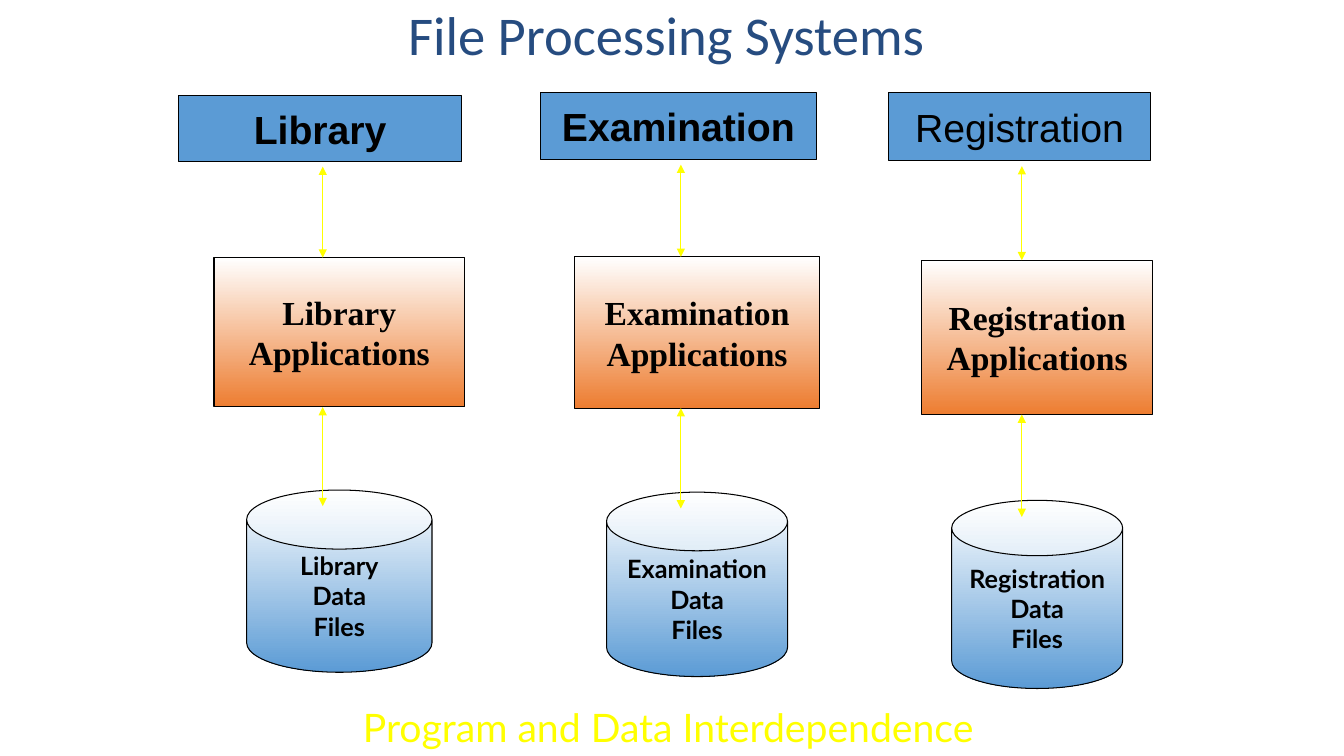
from dataclasses import dataclass

from lxml.etree import SubElement
from pptx import Presentation
from pptx.dml.color import RGBColor
from pptx.enum.shapes import MSO_CONNECTOR, MSO_SHAPE
from pptx.enum.text import MSO_ANCHOR, MSO_AUTO_SIZE, PP_ALIGN
from pptx.oxml.ns import qn
from pptx.util import Cm, Pt


@dataclass(frozen=True)
class Theme:
    ink: str = "000000"
    title: str = "264C80"
    accent: str = "FFFF00"
    light: str = "FFFFFF"
    blue: str = "5B9BD5"
    orange: str = "ED7D31"
    title_font: str = "Calibri"
    system_font: str = "Arial"
    program_font: str = "Times New Roman"
    data_font: str = "Lato"
    title_size: int = 39
    heading_size: int = 28
    program_size: int = 24
    data_size: int = 18
    line_width: float = 0.75


@dataclass(frozen=True)
class Box:
    left: float
    top: float
    width: float
    height: float

    def x(self, percent):
        return self.left + self.width * percent / 100

    def y(self, percent):
        return self.top + self.height * percent / 100

    def inner(self, left, top, width, height):
        return Box(self.x(left), self.y(top),
                   self.width * width / 100, self.height * height / 100)

    def lengths(self):
        return Cm(self.left), Cm(self.top), Cm(self.width), Cm(self.height)


THEME = Theme()
TITLE_BOX = Box(5.36, 0, 22.86, 1.9)
CAPTION_BOX = Box(8.74, 17.6, 16.2, 1.45)
SYSTEMS = [
    ("Registration", False, Box(22.4, 2.34, 6.65, 15.01)),
    ("Examination", True, Box(13.61, 2.34, 7.04, 14.71)),
    ("Library", True, Box(4.5, 2.41, 7.21, 14.53)),
]


def write(frame, *lines, font, size, color=THEME.ink, bold=False, wrap=False,
          anchor=MSO_ANCHOR.MIDDLE, autosize=MSO_AUTO_SIZE.NONE, spacing=None):
    frame.word_wrap = wrap
    frame.vertical_anchor = anchor
    frame.auto_size = autosize
    for index, line in enumerate(lines):
        paragraph = frame.add_paragraph() if index else frame.paragraphs[0]
        paragraph.alignment = PP_ALIGN.CENTER
        if spacing:
            paragraph.line_spacing = spacing
        run = paragraph.add_run()
        run.text = line
        run.font.name = font
        run.font.size = Pt(size)
        run.font.bold = bold
        run.font.color.rgb = RGBColor.from_string(color)


def add_node(shapes, preset, box, color, shaded=True):
    node = shapes.add_shape(preset, *box.lengths())
    node.shadow.inherit = False
    if shaded:
        node.fill.gradient()
        node.fill.gradient_angle = 270
        for stop, position, shade in zip(node.fill.gradient_stops, (0, 1), (THEME.light, color)):
            stop.position = position
            stop.color.rgb = RGBColor.from_string(shade)
    else:
        node.fill.solid()
        node.fill.fore_color.rgb = RGBColor.from_string(color)
    node.line.color.rgb = RGBColor.from_string(THEME.ink)
    node.line.width = Pt(THEME.line_width)
    return node


def add_double_arrow(shapes, x, start, end):
    arrow = shapes.add_connector(MSO_CONNECTOR.STRAIGHT, Cm(x), Cm(start), Cm(x), Cm(end))
    arrow.line.color.rgb = RGBColor.from_string(THEME.accent)
    arrow.line.width = Pt(THEME.line_width)
    properties = arrow._element.spPr
    for tip in ("a:headEnd", "a:tailEnd"):
        SubElement(properties.find(qn("a:ln")), qn(tip), type="triangle")
    SubElement(properties, qn("a:effectLst"))


def add_system(slide, box, name, bold):
    shapes = slide.shapes.add_group_shape().shapes

    program = add_node(shapes, MSO_SHAPE.RECTANGLE, box.inner(12.4, 28.1, 87.6, 25.9), THEME.orange)
    write(program.text_frame, name, "Applications",
          font=THEME.program_font, size=THEME.program_size, bold=True)

    data_store = add_node(shapes, MSO_SHAPE.CAN, box.inner(23.8, 68.4, 64.8, 31.6), THEME.blue)
    data_store.adjustments[0] = 0.324
    write(data_store.text_frame, name, "Data", "Files",
          font=THEME.data_font, size=THEME.data_size, bold=True)

    system = add_node(shapes, MSO_SHAPE.RECTANGLE, box.inner(0, 0, 99, 11.4), THEME.blue, shaded=False)
    write(system.text_frame, name,
          font=THEME.system_font, size=THEME.heading_size, bold=bold)

    for start, end in ((12.3, 28.1), (54, 71.2)):
        add_double_arrow(shapes, box.x(50.4), box.y(start), box.y(end))


def add_title(slide, box):
    title = slide.shapes.title
    title.left, title.top, title.width, title.height = box.lengths()
    write(title.text_frame, "File Processing Systems", font=THEME.title_font,
          size=THEME.title_size, color=THEME.title, wrap=True, spacing=0.9)


def add_caption(slide, box):
    caption = slide.shapes.add_textbox(*box.lengths())
    write(caption.text_frame, "Program and Data Interdependence", font=THEME.data_font,
          size=THEME.heading_size, color=THEME.accent, anchor=MSO_ANCHOR.TOP,
          autosize=MSO_AUTO_SIZE.SHAPE_TO_FIT_TEXT)


def main():
    deck = Presentation()
    deck.slide_width, deck.slide_height = Cm(33.87), Cm(19.05)
    slide = deck.slides.add_slide(deck.slide_layouts.get_by_name("Title Only"))
    add_title(slide, TITLE_BOX)
    for name, bold, box in SYSTEMS:
        add_system(slide, box, name, bold)
    add_caption(slide, CAPTION_BOX)
    deck.save("out.pptx")


if __name__ == "__main__":
    main()
